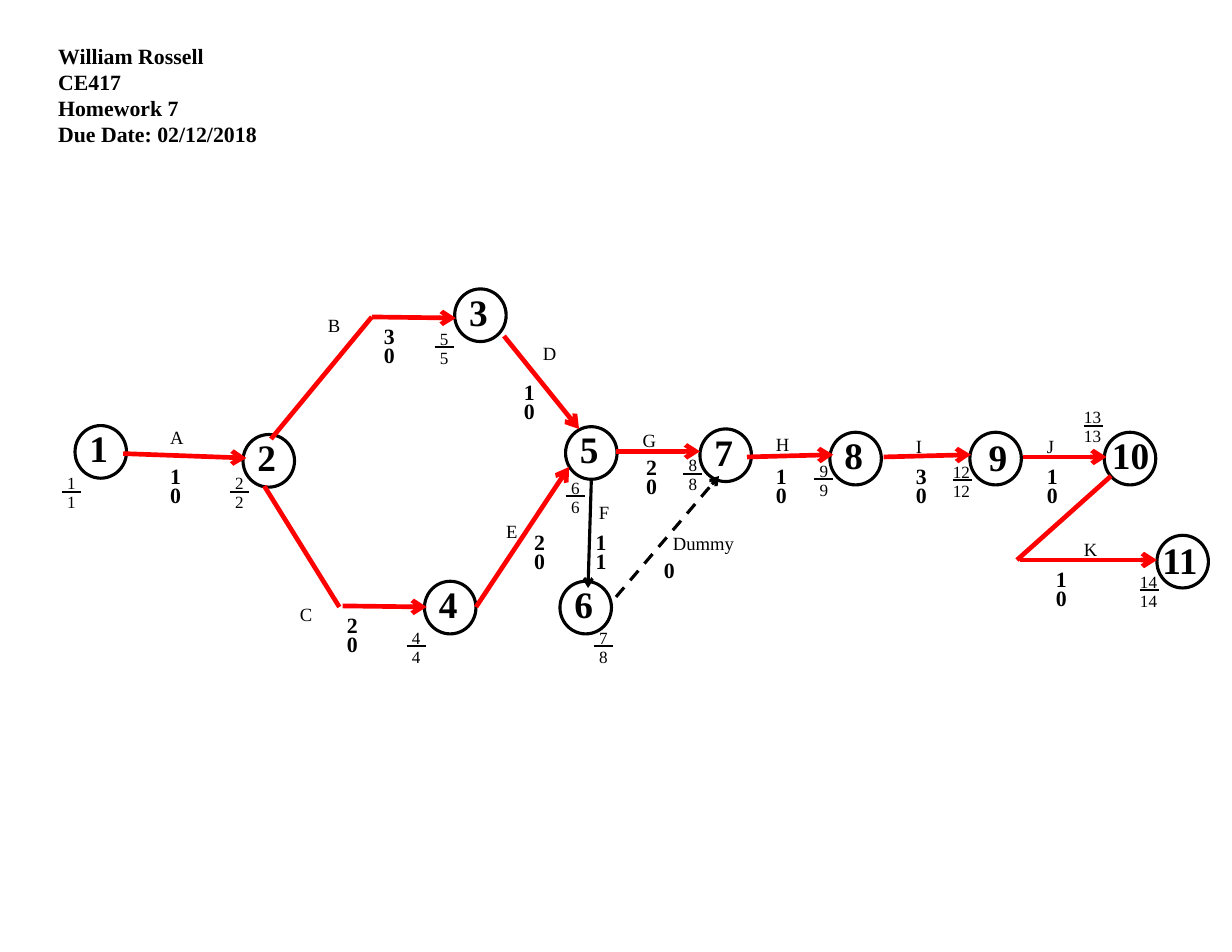
import pptx
import pptx.dml.color
import pptx.enum.dml
import pptx.enum.shapes
import pptx.enum.text
import pptx.util
from lxml import etree
from pptx.oxml.ns import qn
from pptx.util import Inches

FONT = "Times New Roman"
BLACK, RED = "000000", "FF0000"
NODE_W, NODE_H = 0.46, 0.47
DIGIT_STEP = 0.17

HEADING = ["William Rossell", "CE417", "Homework 7", "Due Date: 02/12/2018"]

# label, circle left, circle top, label offset from the circle
NODES = [
    ("1", 0.67, 3.8, 0.03, -0.05),
    ("2", 2.17, 3.88, 0.03, -0.05),
    ("3", 4.06, 2.58, 0.03, -0.05),
    ("4", 3.79, 5.19, 0.03, -0.05),
    ("5", 5.05, 3.81, 0.03, -0.05),
    ("6", 5, 5.19, 0.03, -0.05),
    ("7", 6.25, 3.83, 0.03, -0.05),
    ("8", 7.41, 3.86, 0.03, -0.05),
    ("9", 8.66, 3.86, 0.07, -0.03),
    ("10", 9.86, 3.86, -0.03, -0.05),
    ("11", 10.33, 4.78, -0.05, -0.03),
]

# start, end, has an arrowhead
CRITICAL_LINES = [
    ((1.1, 4.05), (2.2, 4.09), True),
    ((2.42, 3.92), (3.32, 2.83), False),
    ((3.32, 2.83), (4.07, 2.84), True),
    ((3.03, 5.42), (2.36, 4.34), False),
    ((3.06, 5.41), (3.81, 5.42), True),
    ((4.25, 5.42), (5.08, 4.17), True),
    ((5.5, 4.03), (6.25, 4.03), True),
    ((4.5, 3), (5.17, 3.83), True),
    ((6.67, 4.08), (7.44, 4.06), True),
    ((7.89, 4.08), (8.67, 4.06), True),
    ((9.13, 4.08), (9.88, 4.08), True),
    ((9.08, 5), (9.92, 4.25), False),
    ((9.11, 5), (10.33, 5), True),
]

# name, name position, duration digits from top to bottom, duration position
ACTIVITIES = [
    ("A", (1.42, 3.75), "10", (1.42, 4.08)),
    ("B", (2.83, 2.75), "30", (3.33, 2.83)),
    ("C", (2.58, 5.33), "20", (3, 5.41)),
    ("D", (4.75, 3), "10", (4.58, 3.33)),
    ("E", (4.42, 4.59), "20", (4.67, 4.67)),
    ("F", (5.25, 4.42), "11", (5.22, 4.67)),
    ("G", (5.64, 3.78), "20", (5.67, 4)),
    ("H", (6.83, 3.82), "10", (6.83, 4.08)),
    ("I", (8.08, 3.83), "30", (8.08, 4.08)),
    ("J", (9.25, 3.83), "10", (9.25, 4.08)),
    ("K", (9.58, 4.75), "10", (9.33, 5)),
    ("Dummy", (5.91, 4.7), "0", (5.83, 4.92)),
]

# early time, late time, left, top
EVENT_TIMES = [
    ("1", "1", 0.5, 4.17),
    ("2", "2", 2, 4.17),
    ("5", "5", 3.83, 2.88),
    ("4", "4", 3.58, 5.55),
    ("6", "6", 5, 4.21),
    ("7", "8", 5.25, 5.55),
    ("8", "8", 6.05, 4.01),
    ("9", "9", 7.22, 4.06),
    ("12", "12", 8.41, 4.07),
    ("13", "13", 9.58, 3.58),
    ("14", "14", 10.08, 5.05),
]


def rgb(value):
    return pptx.dml.color.RGBColor.from_string(value)


def add_text(shapes, lines, x, y, w, h, size, bold=False):
    sp = shapes.add_textbox(Inches(x), Inches(y), Inches(w), Inches(h))
    tf = sp.text_frame
    tf.word_wrap = True
    tf.auto_size = pptx.enum.text.MSO_AUTO_SIZE.SHAPE_TO_FIT_TEXT
    for i, line in enumerate(lines):
        p = tf.add_paragraph() if i else tf.paragraphs[0]
        r = p.add_run()
        r.text = line
        r.font.name = FONT
        r.font.size = pptx.util.Pt(size)
        r.font.bold = bold
        r.font.color.rgb = rgb(BLACK)


def add_line(shapes, start, end, color, width, arrow=False, dashed=False):
    points = [Inches(v) for v in (*start, *end)]
    cn = shapes.add_connector(pptx.enum.shapes.MSO_CONNECTOR.STRAIGHT, *points)
    cn.line.color.rgb = rgb(color)
    cn.line.width = pptx.util.Pt(width)
    if dashed:
        cn.line.dash_style = pptx.enum.dml.MSO_LINE.DASH
    sp_pr = cn._element.spPr
    if arrow:
        etree.SubElement(sp_pr.find(qn("a:ln")), qn("a:tailEnd"), type="arrow")
    etree.SubElement(sp_pr, qn("a:effectLst"))


def add_node(s, label, x, y, dx, dy):
    shapes = s.shapes.add_group_shape().shapes
    sp = shapes.add_shape(pptx.enum.shapes.MSO_SHAPE.OVAL, Inches(x), Inches(y),
                          Inches(NODE_W), Inches(NODE_H))
    sp.shadow.inherit = False
    sp.fill.background()
    sp.line.color.rgb = rgb(BLACK)
    sp.line.width = pptx.util.Pt(2)
    width = 0.33 if len(label) == 1 else 0.64
    add_text(shapes, [label], x + dx, y + dy, width, 0.5, 24, bold=True)


def add_activity(s, name, name_at, duration, duration_at):
    """Add an activity name and its duration, one digit below the other."""
    width = 0.76 if len(name) > 1 else 0.33
    add_text(s.shapes, [name], *name_at, width, 0.3, 12)
    x, y = duration_at
    for i, digit in enumerate(duration):
        add_text(s.shapes, [digit], x, y + i * DIGIT_STEP, 0.33, 0.34, 14, bold=True)


def add_event_time(s, early, late, x, y):
    """Add the early time over the late time with a bar between them."""
    shapes = s.shapes.add_group_shape().shapes
    wide = len(early) > 1
    width = 0.42 if wide else 0.25
    bar_x, bar_y = x + (0.1 if wide else 0.05), y + 0.22
    add_text(shapes, [early], x, y, width, 0.29, 11)
    add_line(shapes, (bar_x, bar_y), (bar_x + 0.17, bar_y), BLACK, 1.25)
    add_text(shapes, [late], x, y + DIGIT_STEP, width, 0.29, 11)


def main():
    prs = pptx.Presentation()
    prs.slide_width, prs.slide_height = Inches(11), Inches(8.5)
    s = prs.slides.add_slide(prs.slide_layouts[6])

    add_text(s.shapes, HEADING, 0.42, 0.33, 8.08, 1.04, 14, bold=True)
    for node in NODES:
        add_node(s, *node)
    for start, end, arrow in CRITICAL_LINES:
        add_line(s.shapes, start, end, RED, 3, arrow)
    add_line(s.shapes, (5.5, 5.33), (6.42, 4.25), BLACK, 2, arrow=True, dashed=True)
    add_line(s.shapes, (5.28, 4.28), (5.25, 5.25), BLACK, 2, arrow=True)
    for activity in ACTIVITIES:
        add_activity(s, *activity)
    for event_time in EVENT_TIMES:
        add_event_time(s, *event_time)

    prs.save("out.pptx")


if __name__ == "__main__":
    main()
